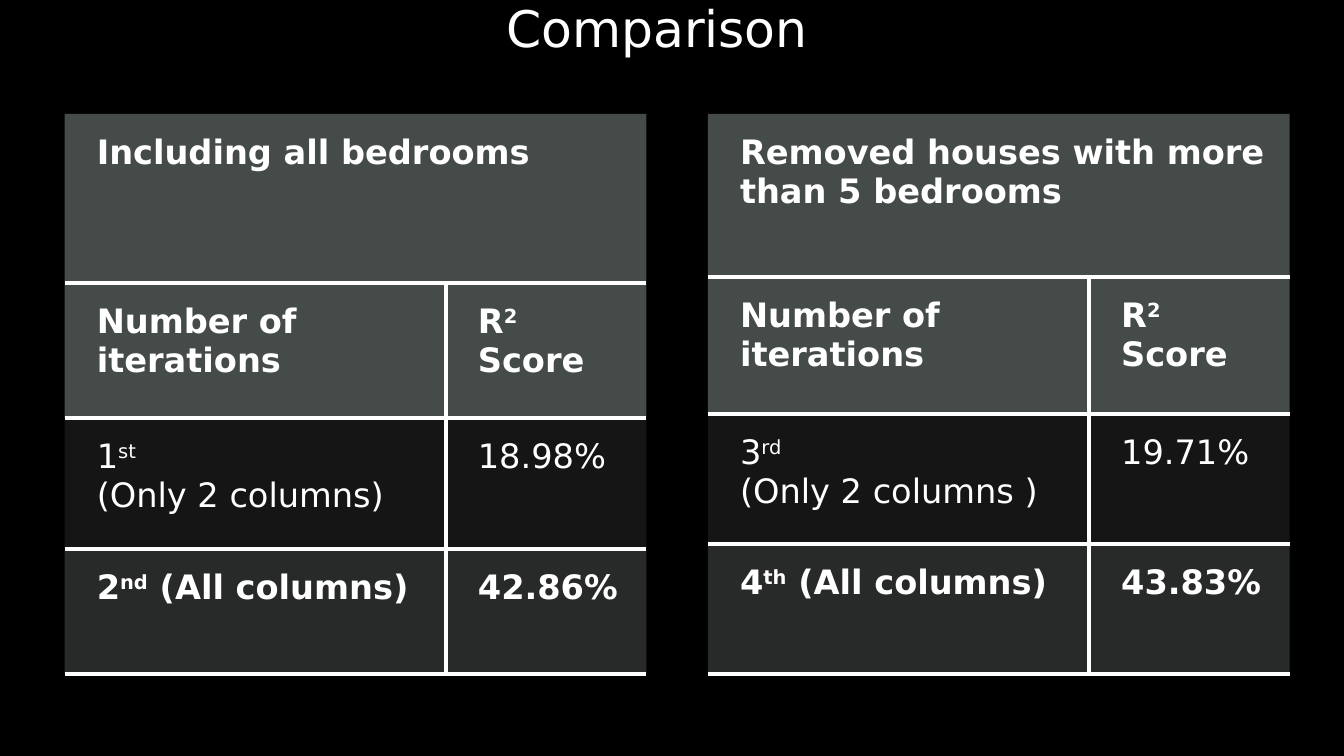
from lxml import etree
from pptx import Presentation
from pptx import util as u
from pptx.dml.color import RGBColor
from pptx.enum import text
from pptx.oxml import ns

BLACK = RGBColor(0x00, 0x00, 0x00)
WHITE = RGBColor(0xFF, 0xFF, 0xFF)
HEADER_GREY = RGBColor(0x63, 0x6B, 0x68)
BODY_GREY = RGBColor(0x87, 0x8E, 0x8B)

# Fill colour, opacity in percent and bold for each table row
ROW_STYLES = [
    (HEADER_GREY, 70, True),
    (HEADER_GREY, 70, True),
    (BODY_GREY, 15, False),
    (BODY_GREY, 30, True),
]
COLUMN_HEADS = ("Number of iterations", "R^2^ Score")
COLUMN_WIDTHS = (3.78, 1.99)


class ComparisonSlide:
    font_name = "DejaVu Sans"
    title_size = u.Pt(36)
    cell_size = u.Pt(24)
    border_width = u.Pt(3)

    def __init__(self, presentation):
        self.slide = presentation.slides.add_slide(presentation.slide_layouts[5])
        self.slide.background.fill.solid()
        self.slide.background.fill.fore_color.rgb = BLACK

    def style_font(self, font, size, bold=False):
        font.name = self.font_name
        font.size = size
        font.bold = bold
        font.color.rgb = WHITE

    def add_title(self, wording, left, top, width, height):
        title = self.slide.shapes.title
        title.left, title.top = u.Inches(left), u.Inches(top)
        title.width, title.height = u.Inches(width), u.Inches(height)
        frame = title.text_frame
        frame.text = wording
        frame.word_wrap = True
        frame.auto_size = text.MSO_AUTO_SIZE.NONE
        frame.vertical_anchor = text.MSO_ANCHOR.BOTTOM
        paragraph = frame.paragraphs[0]
        paragraph.alignment = text.PP_ALIGN.LEFT
        paragraph.line_spacing = 0.9
        self.style_font(paragraph.font, self.title_size)

    def set_borders(self, cell, visible):
        """Draw the named edges (L, R, T, B) in white and clear the others."""
        properties = cell._tc.get_or_add_tcPr()
        for edge in "LRTB":
            line = etree.SubElement(properties, ns.qn(f"a:ln{edge}"))
            if edge in visible:
                line.set("w", str(int(self.border_width)))
                fill = etree.SubElement(line, ns.qn("a:solidFill"))
                etree.SubElement(fill, ns.qn("a:srgbClr"), val=str(WHITE))
            else:
                etree.SubElement(line, ns.qn("a:noFill"))

    def fill_cell(self, cell, color, opacity):
        cell.fill.solid()
        cell.fill.fore_color.rgb = color
        shade = cell._tc.tcPr.find(ns.qn("a:solidFill")).find(ns.qn("a:srgbClr"))
        etree.SubElement(shade, ns.qn("a:alpha"), val=str(opacity * 1000))

    def write_cell(self, cell, wording, bold):
        """Write one paragraph a line; text between carets is superscript."""
        cell.margin_left = u.Inches(0.32)
        cell.margin_right = cell.margin_top = cell.margin_bottom = u.Inches(0.19)
        cell.vertical_anchor = text.MSO_ANCHOR.TOP
        frame = cell.text_frame
        for number, line in enumerate(wording.split("\n")):
            paragraph = frame.add_paragraph() if number else frame.paragraphs[0]
            for position, part in enumerate(line.split("^")):
                if not part:
                    continue
                run = paragraph.add_run()
                run.text = part
                self.style_font(run.font, self.cell_size, bold)
                if position % 2:
                    run._r.get_or_add_rPr().set("baseline", "30000")

    def add_score_table(self, left, top, row_heights, heading, scores):
        rows = [(heading, ""), COLUMN_HEADS, *scores]
        table = self.slide.shapes.add_table(
            len(rows), len(COLUMN_WIDTHS), u.Inches(left), u.Inches(top),
            u.Inches(sum(COLUMN_WIDTHS)), u.Inches(sum(row_heights))).table
        table.first_row = table.horz_banding = False
        for column, width in zip(table.columns, COLUMN_WIDTHS):
            column.width = u.Inches(width)
        for row, height in zip(table.rows, row_heights):
            row.height = u.Inches(height)
        table.cell(0, 0).merge(table.cell(0, 1))
        for r, (wordings, (color, opacity, bold)) in enumerate(zip(rows, ROW_STYLES)):
            for c, wording in enumerate(wordings):
                cell = table.cell(r, c)
                edges = "B" if r == 0 else "TB" + "RL"[c]
                self.set_borders(cell, edges)
                self.fill_cell(cell, color, opacity)
                self.write_cell(cell, wording, bold)


def main():
    presentation = Presentation()
    presentation.slide_width = u.Inches(13.33)
    presentation.slide_height = u.Inches(7.5)
    comparison = ComparisonSlide(presentation)
    comparison.add_title("Comparison", 4.92, 0, 3.5, 0.63)
    comparison.add_score_table(
        7.02, 1.13, (1.62, 1.36, 1.29, 1.29),
        "Removed houses with more than 5 bedrooms",
        [("3^rd^\n(Only 2 columns )", "19.71%"),
         ("4^th^ (All columns)", "43.83%")])
    comparison.add_score_table(
        0.64, 1.13, (1.68, 1.34, 1.3, 1.24),
        "Including all bedrooms",
        [("1^st^\n(Only 2 columns)", "18.98%"),
         ("2^nd^ (All columns)", "42.86%")])
    presentation.save("out.pptx")


if __name__ == "__main__":
    main()
